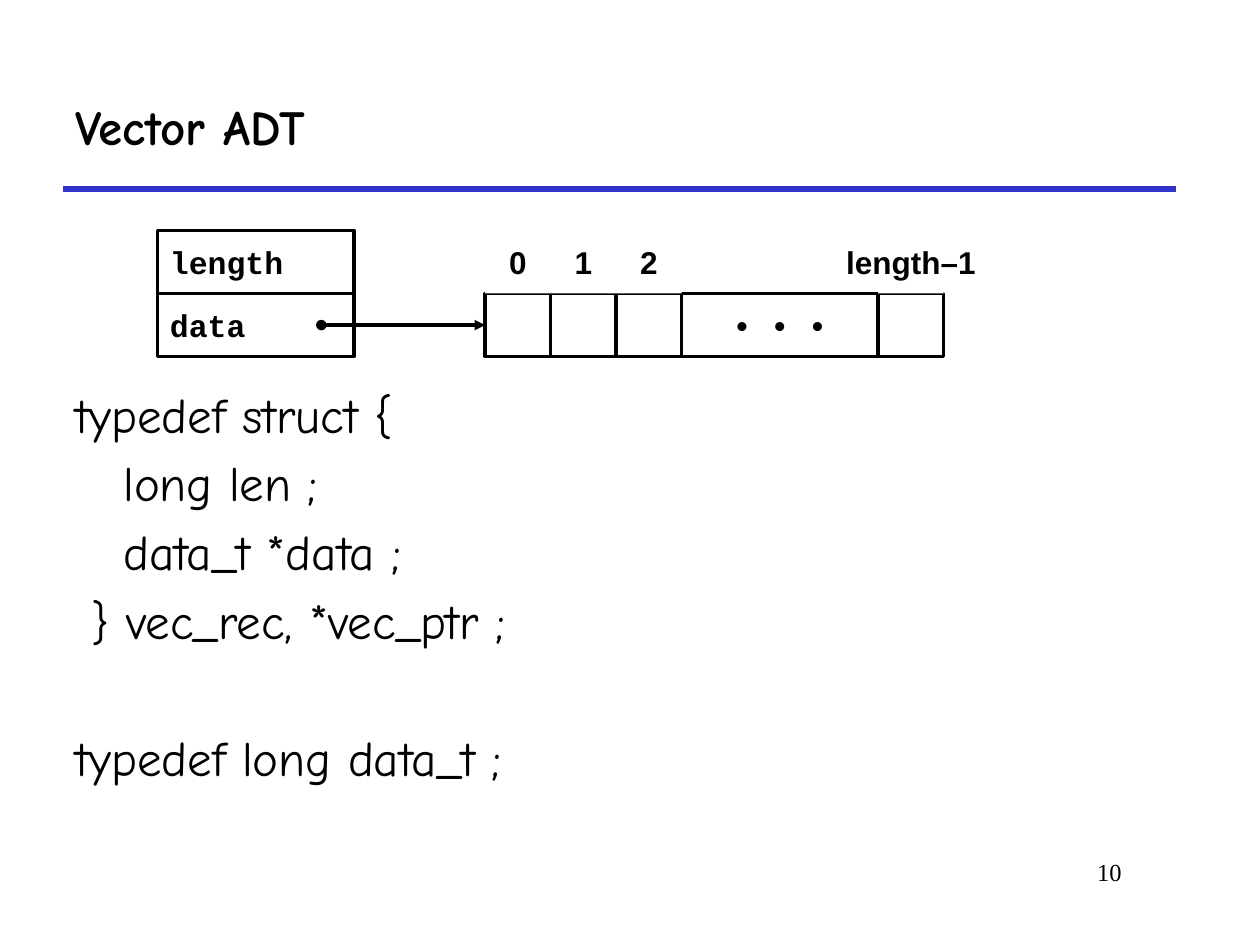
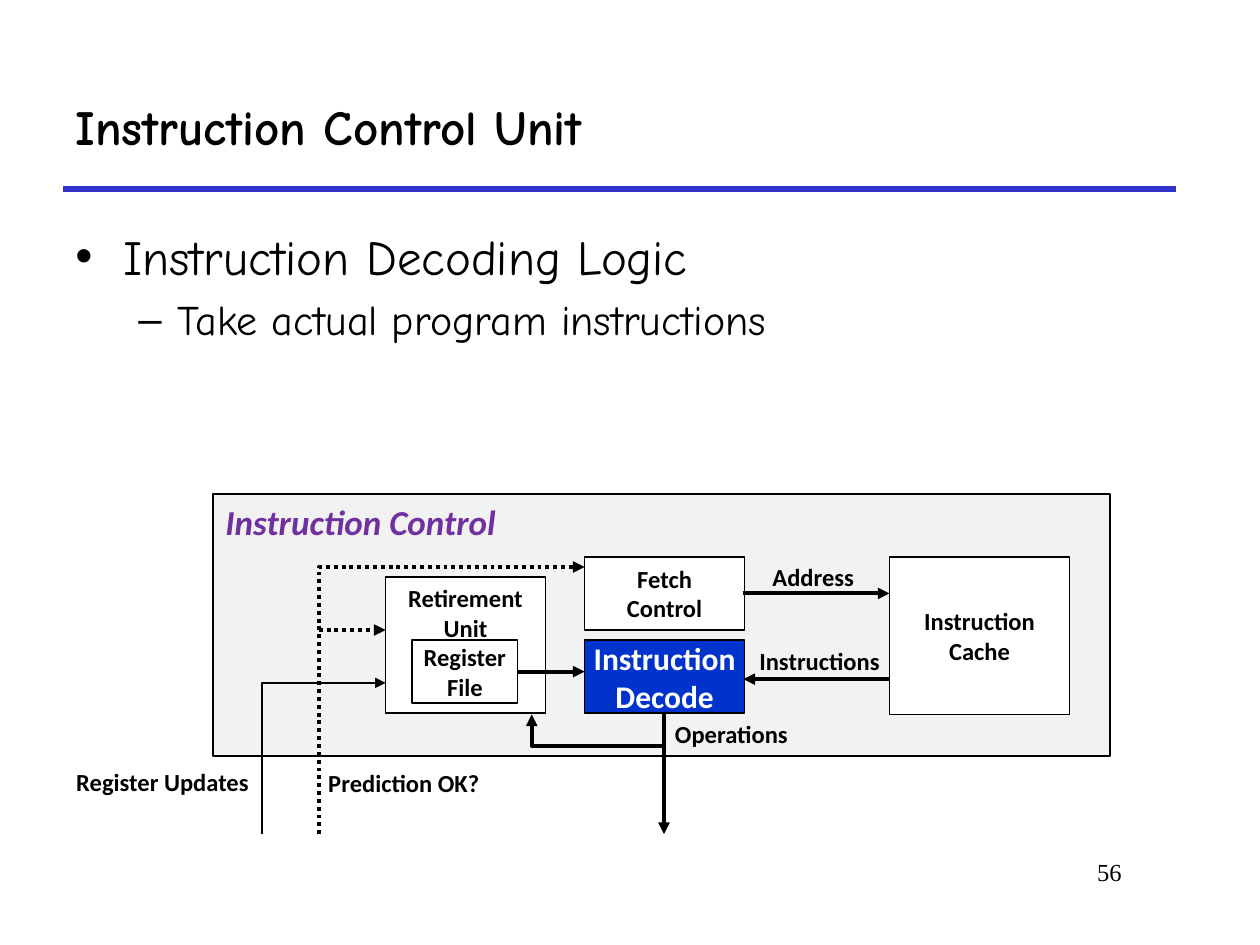
"""Build two lecture slides: a vector type and an instruction control unit."""
from dataclasses import dataclass, field

from pptx import Presentation
from pptx.dml.color import RGBColor as Rgb
from pptx.enum.dml import MSO_LINE as Dash
from pptx.enum.shapes import MSO_CONNECTOR as Conn, MSO_SHAPE as Form
from pptx.enum.text import MSO_ANCHOR as Anchor, PP_ALIGN as Align
from pptx.oxml.xmlchemy import OxmlElement as Node
from pptx.slide import Slide
from pptx.text.text import TextFrame as Frame
from pptx.util import Inches, Pt

Spot = tuple[float, float]
Area = tuple[float, float, float, float]

HUES = {
    "black": "000000", "white": "FFFFFF", "rule": "3333CC",
    "panel": "F2F2F2", "decode": "0033CC", "purple": "7030A0",
}
FONTS = {
    "title": {"name": "Comic Neue", "size": Pt(28), "bold": True},
    "body": {"name": "Comic Neue", "size": Pt(28)},
    "sub": {"name": "Comic Neue", "size": Pt(24)},
    "page": {"name": "Times New Roman", "size": Pt(14)},
    "code": {"name": "Courier New", "size": Pt(18), "bold": True},
    "index": {"name": "Arial", "size": Pt(18), "bold": True},
    "label": {"name": "Calibri", "size": Pt(14), "bold": True},
    "focus": {"name": "Calibri", "size": Pt(18), "bold": True},
    "group": {"name": "Calibri", "size": Pt(20), "bold": True, "italic": True},
}


@dataclass
class Line:
    """One paragraph with its indents, bullet and gap above."""
    text: str
    left: float = 0
    hang: float = 0
    mark: str = ""
    font: str = "body"
    gap: float | None = None


@dataclass
class Box:
    """A filled rectangle with optional outline and text."""
    area: Area
    lines: list[str] = field(default_factory=list)
    font: str = "label"
    fill: str = "white"
    edge: float = 0.75
    ink: str = "black"
    align: Align = Align.CENTER
    anchor: Anchor = Anchor.MIDDLE


@dataclass
class Route:
    """A line through points, with arrowheads at its ends."""
    points: list[Spot]
    width: float = 2.25
    head: str = ""
    tail: str = "triangle"
    dash: Dash | None = None
    hue: str = "black"


def tint(name: str) -> Rgb:
    """Look up a colour."""
    return Rgb.from_string(HUES[name])


def write(frame: Frame, lines: list[Line], ink: str = "black",
          align: Align = Align.LEFT) -> None:
    """Fill a frame with styled paragraphs."""
    for num, line in enumerate(lines):
        para = frame.add_paragraph() if num else frame.paragraphs[0]
        para.alignment = align
        props = para._p.get_or_add_pPr()
        props.set("marL", str(Inches(line.left)))
        props.set("indent", str(Inches(line.hang)))
        if line.mark:
            face, mark = Node("a:buFont"), Node("a:buChar")
            face.set("typeface", "Arial")
            mark.set("char", line.mark)
            props.extend([face, mark])
        if num and line.gap is not None:
            para.space_before = Pt(line.gap)
        run = para.add_run()
        run.text = line.text
        for key, value in FONTS[line.font].items():
            setattr(run.font, key, value)
        run.font.color.rgb = tint(ink)


def add_text(slide: Slide, area: Area, lines: list[Line],
             align: Align = Align.LEFT, anchor: Anchor = Anchor.TOP,
             wrap: bool = True) -> None:
    """Place a text box."""
    frame = slide.shapes.add_textbox(*map(Inches, area)).text_frame
    frame.word_wrap = wrap
    frame.vertical_anchor = anchor
    write(frame, lines, align=align)


def add_box(slide: Slide, box: Box) -> None:
    """Draw a rectangle."""
    shape = slide.shapes.add_shape(Form.RECTANGLE, *map(Inches, box.area))
    shape.shadow.inherit = False
    shape.fill.solid()
    shape.fill.fore_color.rgb = tint(box.fill)
    if box.edge:
        shape.line.color.rgb = tint("black")
        shape.line.width = Pt(box.edge)
    else:
        shape.line.fill.background()
    frame = shape.text_frame
    frame.word_wrap = box.align == Align.LEFT
    frame.vertical_anchor = box.anchor
    write(frame, [Line(text, font=box.font) for text in box.lines],
          box.ink, box.align)


def add_route(slide: Slide, route: Route) -> None:
    """Draw a straight connector or a bent open path."""
    spots = [(Inches(x), Inches(y)) for x, y in route.points]
    if len(spots) == 2:
        shape = slide.shapes.add_connector(Conn.STRAIGHT, *spots[0], *spots[1])
    else:
        path = slide.shapes.build_freeform(*spots[0])
        path.add_line_segments(spots[1:], close=False)
        shape = path.convert_to_shape()
        shape.fill.background()
    shape.line.color.rgb = tint(route.hue)
    shape.line.width = Pt(route.width)
    if route.dash:
        shape.line.dash_style = route.dash
    for tag, kind in (("a:headEnd", route.head), ("a:tailEnd", route.tail)):
        if kind:
            end = Node(tag)
            end.set("type", kind)
            shape.line._get_or_add_ln().append(end)
    shape._element.spPr.append(Node("a:effectLst"))


def add_slide(deck: Presentation, title: str, page: int) -> Slide:
    """Start a slide with its rule, page number and title."""
    slide = deck.slides.add_slide(deck.slide_layouts[6])
    add_route(slide, Route([(0.5, 1.5), (9.33, 1.5)], 3, tail="", hue="rule"))
    add_text(slide, (7.58, 6.75, 1.42, 0.5), [Line(str(page), font="page")],
             Align.RIGHT)
    add_text(slide, (0.5, 0.5, 8.83, 1), [Line(title, font="title")],
             anchor=Anchor.MIDDLE)
    return slide


def draw_vector(deck: Presentation) -> None:
    """Show the vector record and its data array."""
    slide = add_slide(deck, "Vector ADT", 10)
    gap = 5.6
    add_text(slide, (0.5, 3, 9.08, 3.58), [
        Line("typedef struct {"),
        Line("long len ;", 0.38, gap=gap),
        Line("data_t *data ;", 0.38, gap=gap),
        Line(" } vec_rec, *vec_ptr ;", gap=gap),
        Line("typedef long data_t ;", gap=44.8),
    ])
    top, high, cell, start = 1.83, 0.5, 0.52, 3.85
    row = top + high
    for num, name in enumerate(["length", "data"]):
        add_box(slide, Box((1.25, top + num * high, 3 * cell, high), [name],
                           "code", edge=2, align=Align.LEFT))
    slots = {0: "0", 1: "1", 2: "2", 6: "length–1"}
    for slot in slots:
        add_box(slide, Box((start + slot * cell, row, cell, high), edge=2))
    add_box(slide, Box((start + 3 * cell, row, 3 * cell, high), ["• • •"],
                       "code", edge=2))
    add_route(slide, Route([(2.55, 2.58), (start, 2.58)], 2, "oval"))
    for slot, name in slots.items():
        add_box(slide, Box((start + slot * cell, top, cell, high), [name],
                           "index", edge=0))


def draw_control(deck: Presentation) -> None:
    """Show the parts of instruction control and their links."""
    slide = add_slide(deck, "Instruction Control Unit", 56)
    add_text(slide, (0.5, 1.75, 9.08, 4.83), [
        Line("Instruction Decoding Logic", 0.38, -0.38, "•"),
        Line("Take actual program instructions", 0.81, -0.31, "–", "sub", 4.8),
    ])
    wide, high = 1.27, 0.58
    boxes = [
        Box((1.69, 3.92, 7.12, 2.08), ["Instruction Control"], "group",
            "panel", 1.5, "purple", Align.LEFT, Anchor.TOP),
        Box((7.06, 4.42, 1.43, 1.25), ["Instruction", "Cache"]),
        Box((4.64, 4.42, wide, high), ["Fetch", "Control"]),
        Box((4.64, 5.08, wide, high), ["Instruction", "Decode"], "focus",
            "decode", ink="white"),
        Box((3.06, 4.58, wide, 1.08), ["Retirement", "Unit"],
            anchor=Anchor.TOP),
        Box((3.27, 5.08, 0.84, 0.5), ["Register", "File"]),
    ]
    routes = [
        Route([(5.9, 4.71), (7.06, 4.71)]),
        Route([(7.06, 5.39), (5.9, 5.39)]),
        Route([(5.27, 5.67), (5.27, 6.62)]),
        Route([(2.53, 6.62), (2.53, 4.5), (4.64, 4.5)], dash=Dash.ROUND_DOT),
        Route([(2.53, 5), (3.06, 5)], dash=Dash.ROUND_DOT),
        Route([(2.08, 6.62), (2.08, 5.42), (3.06, 5.42)], 1.5),
        Route([(4.11, 5.33), (4.64, 5.33)]),
        Route([(5.27, 5.92), (4.22, 5.92), (4.22, 5.67)]),
    ]
    labels = {
        "Address": (6.03, 4.41, 0.85),
        "Instructions": (5.92, 5.08, 1.17),
        "Operations": (5.25, 5.66, 1.11),
        "Prediction OK?": (2.5, 6.05, 1.41),
        "Register Updates": (0.5, 6.04, 1.58),
    }
    for box in boxes:
        add_box(slide, box)
    for route in routes:
        add_route(slide, route)
    for name, place in labels.items():
        add_text(slide, (*place, 0.34), [Line(name, font="label")],
                 Align.CENTER, wrap=False)


def main() -> None:
    """Build and save the deck."""
    deck = Presentation()
    deck.slide_width, deck.slide_height = Inches(10), Inches(7.5)
    draw_vector(deck)
    draw_control(deck)
    deck.save("out.pptx")


if __name__ == "__main__":
    main()
